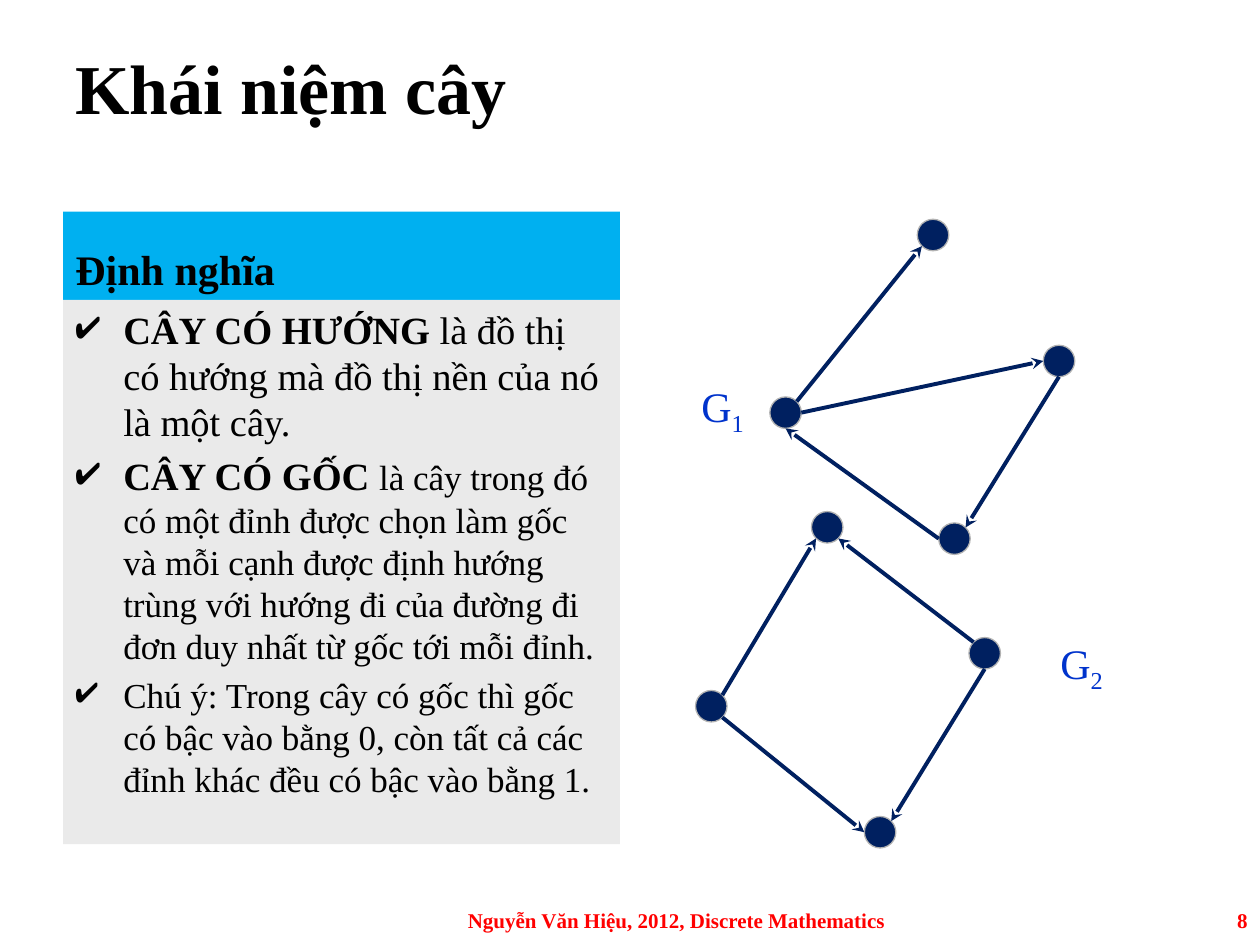
from dataclasses import dataclass
from typing import NamedTuple

import pptx
import pptx.dml.color
import pptx.enum.dml
import pptx.enum.shapes
import pptx.enum.text
import pptx.oxml.ns
import pptx.util
from lxml import etree

PX_PER_INCH = 100
EMU_PER_PX = 914400 // PX_PER_INCH
NODE_SIZE = 25
HANGING_INDENT = 38

ALIGN = pptx.enum.text.PP_ALIGN
ANCHOR = pptx.enum.text.MSO_ANCHOR
SHAPE = pptx.enum.shapes.MSO_SHAPE


@dataclass(frozen=True)
class Theme:
    font: str = "Times New Roman"
    ink: str = "000000"
    heading_fill: str = "00B0F0"
    body_fill: str = "EAEAEA"
    footer: str = "FF0000"
    graph: str = "002060"
    node_line: str = "B2B2B2"
    label: str = "0033CC"
    title_size: int = 40
    heading_size: int = 24
    term_size: int = 22
    note_size: int = 20
    footer_size: int = 12


THEME = Theme()


class Box(NamedTuple):
    left: int
    top: int
    width: int
    height: int


class Span(NamedTuple):
    text: str
    size: int
    bold: bool = False
    baseline: int = 0


class Paragraph(NamedTuple):
    spans: list[Span]
    space_before: float = 0


class Edge(NamedTuple):
    start: str
    start_side: str
    end: str
    end_side: str


class Graph(NamedTuple):
    nodes: dict[str, tuple[int, int]]
    edges: list[Edge]
    label_box: Box
    subscript: str


DIAGONAL = 0.5 ** 0.5
SIDES = {
    "N": (0, -1), "S": (0, 1), "W": (-1, 0), "E": (1, 0),
    "NW": (-DIAGONAL, -DIAGONAL), "NE": (DIAGONAL, -DIAGONAL),
    "SW": (-DIAGONAL, DIAGONAL), "SE": (DIAGONAL, DIAGONAL),
}

DEFINITIONS = [
    Paragraph([
        Span("CÂY CÓ HƯỚNG ", THEME.term_size, True),
        Span("là đồ thị có hướng mà đồ thị nền của nó là một cây.", THEME.term_size),
    ]),
    Paragraph([
        Span("CÂY CÓ GỐC ", THEME.term_size, True),
        Span("là cây trong đó có một đỉnh được chọn làm gốc và mỗi cạnh được định hướng "
             "trùng với hướng đi của đường đi đơn duy nhất từ gốc tới mỗi đỉnh.",
             THEME.note_size),
    ], 4.4),
    Paragraph([
        Span("Chú ý: Trong cây có gốc thì gốc có bậc vào bằng 0, còn tất cả các đỉnh khác "
             "đều có bậc vào bằng 1.", THEME.note_size),
    ], 4),
]

GRAPHS = [
    Graph(
        {"top": (728, 174), "left": (611, 315), "right": (828, 274), "bottom": (745, 415)},
        [Edge("left", "NE", "top", "SW"), Edge("left", "E", "right", "W"),
         Edge("right", "S", "bottom", "NE"), Edge("bottom", "W", "left", "S")],
        Box(536, 297, 75, 57), "1",
    ),
    Graph(
        {"top": (644, 406), "left": (552, 548), "right": (769, 506), "bottom": (686, 648)},
        [Edge("left", "NE", "top", "SW"), Edge("right", "NW", "top", "SE"),
         Edge("right", "S", "bottom", "NE"), Edge("left", "SE", "bottom", "W")],
        Box(821, 501, 75, 57), "2",
    ),
]


def px(length: float) -> int:
    return round(length * EMU_PER_PX)


def rgb(color: str) -> pptx.dml.color.RGBColor:
    return pptx.dml.color.RGBColor.from_string(color)


def add_bullet(paragraph) -> None:
    props = paragraph._p.get_or_add_pPr()
    props.set("marL", str(px(HANGING_INDENT)))
    props.set("indent", str(-px(HANGING_INDENT)))
    bullet_color = etree.SubElement(props, pptx.oxml.ns.qn("a:buClr"))
    etree.SubElement(bullet_color, pptx.oxml.ns.qn("a:srgbClr"), val=THEME.ink)
    etree.SubElement(props, pptx.oxml.ns.qn("a:buChar"), char="✔")


def add_text(slide, box: Box, paragraphs: list[Paragraph], *, color: str = THEME.ink,
             fill: str | None = None, align=ALIGN.LEFT, anchor=ANCHOR.MIDDLE,
             bulleted: bool = False) -> None:
    place = [px(length) for length in box]
    if fill:
        holder = slide.shapes.add_shape(SHAPE.RECTANGLE, *place)
        holder.shadow.inherit = False
        holder.fill.solid()
        holder.fill.fore_color.rgb = rgb(fill)
        holder.line.fill.background()
    else:
        holder = slide.shapes.add_textbox(*place)
    frame = holder.text_frame
    frame.word_wrap = True
    frame.vertical_anchor = anchor
    for index, content in enumerate(paragraphs):
        paragraph = frame.add_paragraph() if index else frame.paragraphs[0]
        paragraph.alignment = align
        paragraph.space_before = pptx.util.Pt(content.space_before)
        if bulleted:
            add_bullet(paragraph)
        for span in content.spans:
            run = paragraph.add_run()
            run.text = span.text
            run.font.name = THEME.font
            run.font.size = pptx.util.Pt(span.size)
            run.font.bold = span.bold
            run.font.color.rgb = rgb(color)
            if span.baseline:
                run._r.get_or_add_rPr().set("baseline", str(span.baseline * 1000))


def draw_node(slide, left: int, top: int) -> None:
    node = slide.shapes.add_shape(SHAPE.OVAL, px(left), px(top), px(NODE_SIZE), px(NODE_SIZE))
    node.shadow.inherit = False
    node.fill.solid()
    node.fill.fore_color.rgb = rgb(THEME.graph)
    node.line.color.rgb = rgb(THEME.node_line)
    node.line.width = pptx.util.Pt(0.75)


def port(corner: tuple[int, int], side: str) -> list[int]:
    radius = NODE_SIZE / 2
    return [px(start + radius * (1 + step)) for start, step in zip(corner, SIDES[side])]


def draw_edge(slide, graph: Graph, edge: Edge) -> None:
    arrow = slide.shapes.add_connector(
        pptx.enum.shapes.MSO_CONNECTOR.STRAIGHT,
        *port(graph.nodes[edge.start], edge.start_side),
        *port(graph.nodes[edge.end], edge.end_side))
    arrow.line.color.rgb = rgb(THEME.graph)
    arrow.line.width = pptx.util.Pt(2.25)
    etree.SubElement(arrow.line._get_or_add_ln(), pptx.oxml.ns.qn("a:tailEnd"), type="stealth")
    etree.SubElement(arrow._element.spPr, pptx.oxml.ns.qn("a:effectLst"))


def draw_graph(slide, graph: Graph) -> None:
    for corner in graph.nodes.values():
        draw_node(slide, *corner)
    for edge in graph.edges:
        draw_edge(slide, graph, edge)
    name = [Span("G", THEME.heading_size),
            Span(graph.subscript, THEME.heading_size, baseline=-25)]
    add_text(slide, graph.label_box, [Paragraph(name)], color=THEME.label,
             align=ALIGN.CENTER, anchor=ANCHOR.TOP)


def line(text: str, size: int) -> list[Paragraph]:
    return [Paragraph([Span(text, size, True)])]


def main() -> None:
    deck = pptx.Presentation()
    deck.slide_width, deck.slide_height = px(1000), px(750)
    slide = deck.slides.add_slide(deck.slide_layouts[6])
    add_text(slide, Box(50, 30, 900, 78), line("Khái niệm cây", THEME.title_size))
    add_text(slide, Box(50, 168, 442, 70), line("Định nghĩa", THEME.heading_size),
             fill=THEME.heading_fill, anchor=ANCHOR.BOTTOM)
    add_text(slide, Box(50, 238, 442, 432), DEFINITIONS, fill=THEME.body_fill,
             anchor=ANCHOR.TOP, bulleted=True)
    add_text(slide, Box(333, 710, 408, 40),
             line("Nguyễn Văn Hiệu, 2012, Discrete Mathematics", THEME.footer_size),
             color=THEME.footer, align=ALIGN.CENTER)
    add_text(slide, Box(767, 710, 233, 40), line("8", THEME.footer_size),
             color=THEME.footer, align=ALIGN.RIGHT)
    for graph in GRAPHS:
        draw_graph(slide, graph)
    deck.save("out.pptx")


if __name__ == "__main__":
    main()
